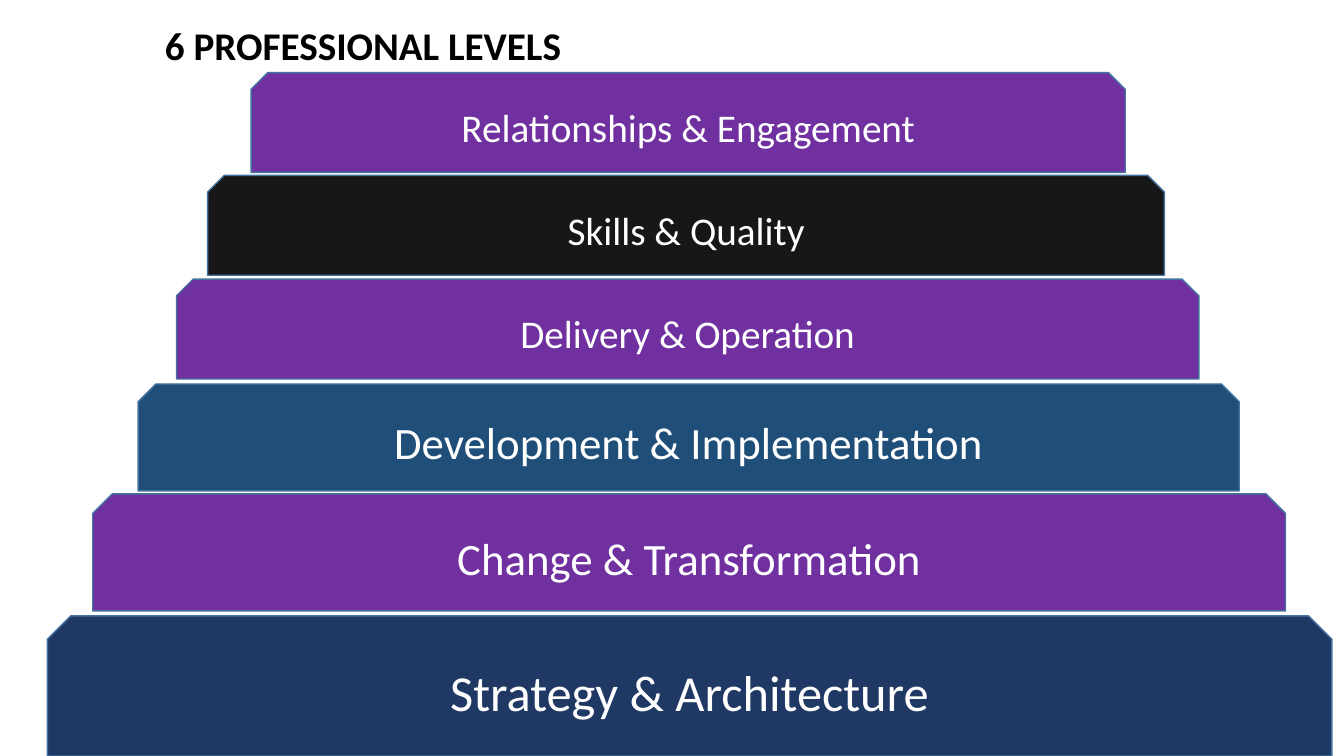
from dataclasses import dataclass

from pptx import Presentation
from pptx.dml.color import RGBColor
from pptx.enum.shapes import MSO_SHAPE
from pptx.enum.text import MSO_ANCHOR, MSO_AUTO_SIZE, PP_ALIGN
from pptx.util import Inches, Pt


@dataclass(frozen=True)
class Theme:
    font: str = "Calibri"
    ink: str = "000000"
    paper: str = "FFFFFF"
    edge: str = "43739E"
    navy: str = "203864"
    purple: str = "7030A0"
    blue: str = "1F4E79"
    black: str = "181717"
    small: int = 28
    medium: int = 32
    large: int = 36


THEME = Theme()
WIDTH, HEIGHT = Inches(13.33), Inches(7.5)

# Each level: text, (left, top, width, height) in percent of the slide, fill, type size
LEVELS = [
    ("Strategy & Architecture", (3.53, 81.47, 95.57, 18.53), THEME.navy, THEME.large),
    ("Change & Transformation", (6.9, 65.33, 88.75, 15.47), THEME.purple, THEME.medium),
    ("Development & Implementation", (10.28, 50.8, 81.92, 14.13), THEME.blue, THEME.medium),
    ("Delivery & Operation", (13.13, 36.93, 76.07, 13.2), THEME.purple, THEME.small),
    ("Skills & Quality", (15.45, 23.2, 71.19, 13.2), THEME.black, THEME.small),
    ("Relationships & Engagement", (18.68, 9.6, 65.04, 13.2), THEME.purple, THEME.small),
]


def color(code):
    return RGBColor.from_string(code)


def place(area):
    left, top, width, height = area
    return (
        int(WIDTH * left / 100),
        int(HEIGHT * top / 100),
        int(WIDTH * width / 100),
        int(HEIGHT * height / 100),
    )


def write(shape, text, size, ink, bold=False):
    frame = shape.text_frame
    frame.word_wrap = True
    frame.vertical_anchor = MSO_ANCHOR.MIDDLE
    para = frame.paragraphs[0]
    para.alignment = PP_ALIGN.CENTER
    span = para.add_run()
    span.text = text
    span.font.name = THEME.font
    span.font.size = Pt(size)
    span.font.bold = bold
    span.font.color.rgb = color(ink)


def add_title(page, text, area):
    title = page.shapes.title
    title.left, title.top, title.width, title.height = place(area)
    write(title, text, THEME.small, THEME.ink, bold=True)
    title.text_frame.auto_size = MSO_AUTO_SIZE.NONE
    title.text_frame.paragraphs[0].line_spacing = 0.9


def add_level(page, text, area, fill, size):
    level = page.shapes.add_shape(MSO_SHAPE.SNIP_2_SAME_RECTANGLE, *place(area))
    level.shadow.inherit = False
    level.fill.solid()
    level.fill.fore_color.rgb = color(fill)
    level.line.color.rgb = color(THEME.edge)
    level.line.width = Pt(1)
    write(level, text, size, THEME.paper)


def main():
    deck = Presentation()
    deck.slide_width, deck.slide_height = WIDTH, HEIGHT
    page = deck.slides.add_slide(deck.slide_layouts[5])
    add_title(page, "6 PROFESSIONAL LEVELS", (0.98, 0, 52.06, 12.67))
    for level in LEVELS:
        add_level(page, *level)
    deck.save("out.pptx")


if __name__ == "__main__":
    main()
